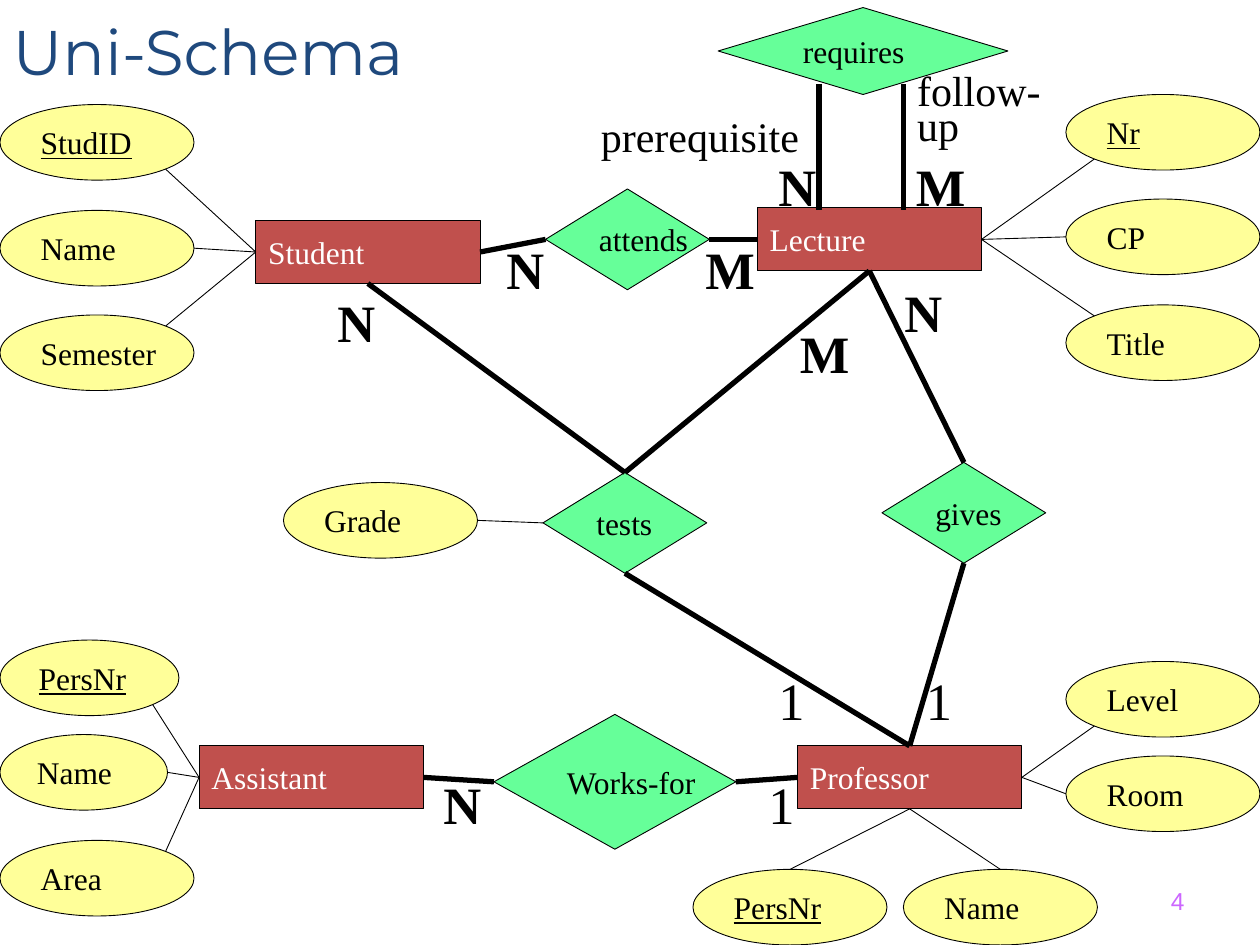
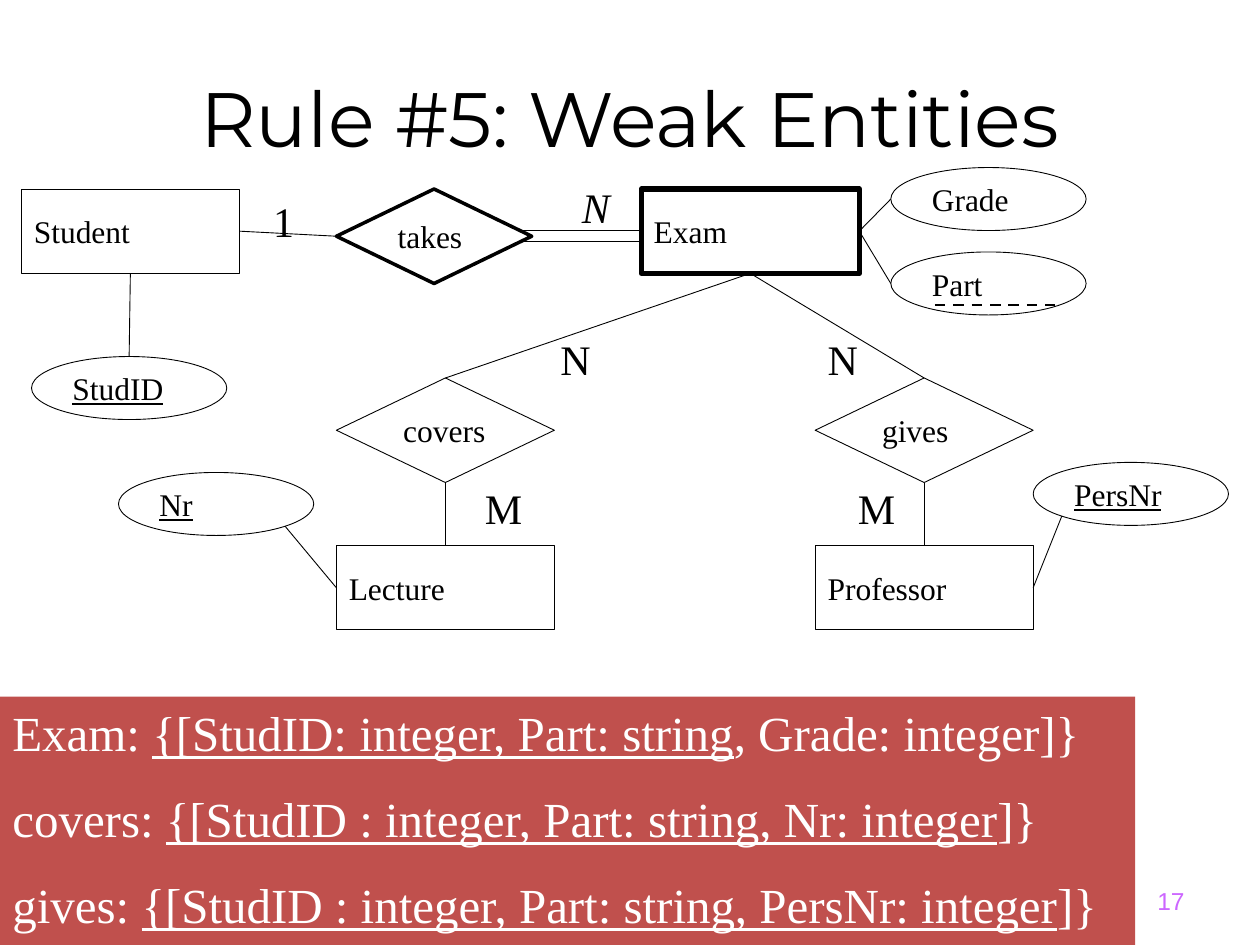
from dataclasses import dataclass
from math import sqrt

from lxml import etree
from pptx import Presentation
from pptx import util as u
from pptx.dml.color import RGBColor
from pptx.enum import dml, shapes, text
from pptx.oxml import ns

COLORS = {
    "entity": "C0504D",
    "attribute": "FFFF99",
    "relation": "66FF99",
    "ink": "000000",
    "paper": "FFFFFF",
    "title": "1F497D",
    "page": "CC66FF",
}
SERIF, SANS, DISPLAY = "Times New Roman", "Arial", "Montserrat"
THIN, MEDIUM, THICK = 0.5, 2, 3
OUTLINES = {
    "entity": shapes.MSO_SHAPE.RECTANGLE,
    "attribute": shapes.MSO_SHAPE.OVAL,
    "relation": shapes.MSO_SHAPE.DIAMOND,
}
# Connection sites as offsets from the centre, in half widths and half heights
D = sqrt(0.5)
SITES = {
    "top": (0, -1), "bottom": (0, 1), "left": (-1, 0), "right": (1, 0),
    "top left": (-D, -D), "top right": (D, -D),
    "bottom left": (-D, D), "bottom right": (D, D),
}


@dataclass
class Node:
    name: str
    kind: str
    x: float
    y: float
    w: float
    h: float
    border: float = THIN

    def site(self, side: str) -> tuple[float, float]:
        dx, dy = SITES[side]
        return self.x + self.w / 2 * (1 + dx), self.y + self.h / 2 * (1 + dy)


@dataclass
class Attribute:
    name: str
    x: float
    y: float
    owner: str
    owner_side: str
    side: str
    key: bool = False
    w: float = 1.54


@dataclass
class Link:
    start: str
    start_side: str
    end: str
    end_side: str


@dataclass
class Label:
    text: str
    x: float
    y: float
    w: float
    size: int
    bold: bool = False
    italic: bool = False
    spacing: float = 1.0


@dataclass
class Diagram:
    nodes: list[Node]
    attributes: list[Attribute]
    links: list[Link]
    labels: list[Label]
    attribute_height: float
    link_width: float
    colored: bool


def rgb(name: str) -> RGBColor:
    return RGBColor.from_string(COLORS[name])


def style(font, size: float, color: str = "ink", face: str = SERIF) -> None:
    font.name, font.size = face, u.Pt(size)
    font.color.rgb = rgb(color)


def box(x: float, y: float, w: float, h: float) -> list[int]:
    return [u.Inches(v) for v in (x, y, w, h)]


# Drawing
def draw_line(slide, start, end, width: float, dashed: bool = False) -> None:
    line = slide.shapes.add_connector(
        shapes.MSO_CONNECTOR.STRAIGHT, *box(*start, *end))
    line.line.color.rgb = rgb("ink")
    line.line.width = u.Pt(width)
    if dashed:
        line.line.dash_style = dml.MSO_LINE.DASH
    etree.SubElement(line._element.spPr, ns.qn("a:effectLst"))


def draw_node(slide, node: Node, colored: bool, underline: bool = False) -> None:
    shape = slide.shapes.add_shape(
        OUTLINES[node.kind], *box(node.x, node.y, node.w, node.h))
    shape.shadow.inherit = False
    if colored:
        shape.fill.solid()
        shape.fill.fore_color.rgb = rgb(node.kind)
    else:
        shape.fill.background()
    shape.line.color.rgb = rgb("ink")
    shape.line.width = u.Pt(node.border)
    frame = shape.text_frame
    frame.text = node.name
    frame.word_wrap = False
    frame.vertical_anchor = text.MSO_ANCHOR.MIDDLE
    paragraph = frame.paragraphs[0]
    paragraph.alignment = text.PP_ALIGN.LEFT
    font = paragraph.runs[0].font
    style(font, 18, "paper" if colored and node.kind == "entity" else "ink")
    if underline:
        font.underline = True


def draw_label(slide, label: Label) -> None:
    height = 0.6 if label.size == 30 else 0.5
    frame = slide.shapes.add_textbox(
        *box(label.x, label.y, label.w, height)).text_frame
    frame.word_wrap = True
    frame.text = label.text
    for paragraph in frame.paragraphs:
        paragraph.line_spacing = label.spacing
        font = paragraph.runs[0].font
        style(font, label.size)
        font.bold, font.italic = label.bold, label.italic


def draw_diagram(slide, diagram: Diagram) -> None:
    by_name = {node.name: node for node in diagram.nodes}
    for node in diagram.nodes:
        draw_node(slide, node, diagram.colored)
    for item in diagram.attributes:
        node = Node(item.name, "attribute", item.x, item.y, item.w,
                    diagram.attribute_height)
        draw_node(slide, node, diagram.colored, item.key)
        draw_line(slide, by_name[item.owner].site(item.owner_side),
                  node.site(item.side), THIN)
    for link in diagram.links:
        draw_line(slide, by_name[link.start].site(link.start_side),
                  by_name[link.end].site(link.end_side), diagram.link_width)
    for label in diagram.labels:
        draw_label(slide, label)


def new_slide(prs, heading: str, place, size: int, color: str, align, anchor,
              page: int):
    slide = prs.slides.add_slide(prs.slide_layouts[5])
    title = slide.shapes.title
    title.left, title.top, title.width, title.height = box(*place)
    frame = title.text_frame
    frame.text = heading
    frame.word_wrap = True
    frame.auto_size = text.MSO_AUTO_SIZE.NONE
    frame.vertical_anchor = anchor
    frame.paragraphs[0].alignment = align
    style(frame.paragraphs[0].runs[0].font, size, color, DISPLAY)

    # Page number
    footer = slide.shapes.add_textbox(*box(7.17, 6.95, 2.33, 0.4)).text_frame
    footer.word_wrap = True
    footer.text = str(page)
    footer.vertical_anchor = text.MSO_ANCHOR.MIDDLE
    footer.paragraphs[0].alignment = text.PP_ALIGN.RIGHT
    style(footer.paragraphs[0].runs[0].font, 14, "page", SANS)
    return slide


def draw_schema(slide, rows: list[tuple[str, str, str]]) -> None:
    band = slide.shapes.add_shape(
        OUTLINES["entity"], *box(0, 5.53, 9.01, 1.97))
    band.shadow.inherit = False
    band.fill.solid()
    band.fill.fore_color.rgb = rgb("entity")
    band.line.fill.background()
    frame = band.text_frame
    frame.word_wrap = True
    frame.vertical_anchor = text.MSO_ANCHOR.TOP
    for i, parts in enumerate(rows):
        paragraph = frame.add_paragraph() if i else frame.paragraphs[0]
        paragraph.alignment = text.PP_ALIGN.LEFT
        if i:
            paragraph.space_before = u.Pt(15.5)
        for part, underlined in zip(parts, (False, True, False)):
            run = paragraph.add_run()
            run.text = part
            style(run.font, 28, "paper")
            run.font.underline = underlined


# Content
UNI_SCHEMA = Diagram(
    nodes=[
        Node("Student", "entity", 2.03, 1.75, 1.78, 0.5),
        Node("Assistant", "entity", 1.58, 5.92, 1.78, 0.5),
        Node("Professor", "entity", 6.33, 5.92, 1.78, 0.5),
        Node("Lecture", "entity", 6.01, 1.65, 1.78, 0.5),
        Node("attends", "relation", 4.33, 1.5, 1.3, 0.8),
        Node("tests", "relation", 4.31, 3.75, 1.3, 0.8),
        Node("gives", "relation", 7, 3.67, 1.3, 0.8),
        Node("Works-for", "relation", 3.92, 5.67, 1.92, 1.07),
        Node("requires", "relation", 5.7, 0.06, 2.3, 0.69),
    ],
    attributes=[
        Attribute("StudID", 0, 0.83, "Student", "left", "bottom right", True),
        Attribute("Name", 0, 1.67, "Student", "left", "right"),
        Attribute("Semester", 0, 2.5, "Student", "left", "top right"),
        Attribute("PersNr", 0, 5.08, "Assistant", "left", "bottom right", True, 1.42),
        Attribute("Name", 0, 5.83, "Assistant", "left", "right", w=1.33),
        Attribute("Area", 0, 6.67, "Assistant", "left", "top right"),
        Attribute("Nr", 8.46, 0.75, "Lecture", "right", "bottom left", True),
        Attribute("CP", 8.46, 1.58, "Lecture", "right", "left"),
        Attribute("Title", 8.46, 2.42, "Lecture", "right", "top left"),
        Attribute("Level", 8.46, 5.25, "Professor", "right", "bottom left"),
        Attribute("Room", 8.46, 6, "Professor", "right", "left"),
        Attribute("PersNr", 5.5, 6.9, "Professor", "bottom", "top", True),
        Attribute("Name", 7.17, 6.9, "Professor", "bottom", "top"),
        Attribute("Grade", 2.25, 3.83, "tests", "left", "right"),
    ],
    links=[
        Link("Student", "right", "attends", "left"),
        Link("attends", "right", "Lecture", "left"),
        Link("Student", "bottom", "tests", "top"),
        Link("Lecture", "bottom", "tests", "top"),
        Link("Lecture", "bottom", "gives", "top"),
        Link("tests", "bottom", "Professor", "top"),
        Link("gives", "bottom", "Professor", "top"),
        Link("Assistant", "right", "Works-for", "left"),
        Link("Works-for", "right", "Professor", "left"),
    ],
    labels=[
        Label("follow-\nup", 7.18, 0.57, 1.51, 24, spacing=0.7),
        Label("prerequisite", 4.67, 0.83, 1.89, 24),
        *(Label("1", x, y, 0.41, 30)
          for x, y in [(7.25, 5.25), (6.08, 5.25), (6, 6.08)]),
        *(Label("N", x, y, 0.5, 30, bold=True)
          for x, y in [(6.08, 1.17), (2.58, 2.25), (7.08, 2.17),
                       (3.42, 6.08), (3.92, 1.83)]),
        *(Label("M", x, y, 0.6, 30, bold=True)
          for x, y in [(6.25, 2.5), (7.17, 1.17), (5.5, 1.83)]),
    ],
    attribute_height=0.6, link_width=THICK, colored=True)

WEAK_ENTITIES = Diagram(
    nodes=[
        Node("Student", "entity", 0.17, 1.5, 1.73, 0.67),
        Node("Exam", "entity", 5.09, 1.5, 1.73, 0.67, THICK),
        Node("Lecture", "entity", 2.67, 4.33, 1.73, 0.67),
        Node("Professor", "entity", 6.47, 4.33, 1.73, 0.67),
        Node("takes", "relation", 2.67, 1.5, 1.55, 0.75, MEDIUM),
        Node("covers", "relation", 2.67, 3, 1.73, 0.83),
        Node("gives", "relation", 6.47, 3, 1.73, 0.83),
    ],
    attributes=[
        Attribute("Grade", 7.07, 1.33, "Exam", "right", "left", w=1.55),
        Attribute("Part", 7.07, 2, "Exam", "right", "left", w=1.55),
        Attribute("StudID", 0.25, 2.83, "Student", "bottom", "top", True, 1.55),
        Attribute("Nr", 0.94, 3.75, "Lecture", "left", "bottom right", True, 1.55),
        Attribute("PersNr", 8.2, 3.67, "Professor", "right", "bottom left", True, 1.55),
    ],
    links=[
        Link("Student", "right", "takes", "left"),
        Link("Exam", "bottom", "covers", "top"),
        Link("Exam", "bottom", "gives", "top"),
        Link("covers", "bottom", "Lecture", "top"),
        Link("gives", "bottom", "Professor", "top"),
    ],
    labels=[
        Label("1", 2.07, 1.5, 0.35, 24),
        Label("N", 4.52, 1.39, 0.42, 24, italic=True),
        *(Label("N", x, 2.6, 0.44, 24) for x in (4.35, 6.47)),
        *(Label("M", x, 3.78, 0.5, 24) for x in (3.75, 6.71)),
    ],
    attribute_height=0.5, link_width=THIN, colored=False)

SCHEMA = [
    ("Exam: ", "{[StudID: integer, Part: string", ", Grade: integer]}"),
    ("covers: ", "{[StudID : integer, Part: string, Nr: integer", "]}"),
    ("gives: ", "{[StudID : integer, Part: string, PersNr: integer", "]}"),
]


def main() -> None:
    prs = Presentation()
    prs.slide_width, prs.slide_height = u.Inches(10), u.Inches(7.5)

    # Slide 1: university schema
    slide = new_slide(prs, "Uni-Schema", (0, 0.33, 5.75, 0.42), 36, "title",
                      text.PP_ALIGN.LEFT, text.MSO_ANCHOR.BOTTOM, 4)
    draw_diagram(slide, UNI_SCHEMA)
    for role_x in (6.5, 7.17):
        draw_line(slide, (role_x, 0.67), (role_x, 1.67), THICK)

    # Slide 2: weak entities
    slide = new_slide(prs, "Rule #5: Weak Entities", (0.5, 0.3, 9, 1.25), 44,
                      "ink", text.PP_ALIGN.CENTER, text.MSO_ANCHOR.MIDDLE, 17)
    draw_diagram(slide, WEAK_ENTITIES)
    for total_y in (1.83, 1.92):
        draw_line(slide, (4.14, total_y), (5.09, total_y), THIN)
    draw_line(slide, (7.42, 2.42), (8.37, 2.42), 1.5, dashed=True)
    draw_schema(slide, SCHEMA)

    prs.save("out.pptx")


if __name__ == "__main__":
    main()
